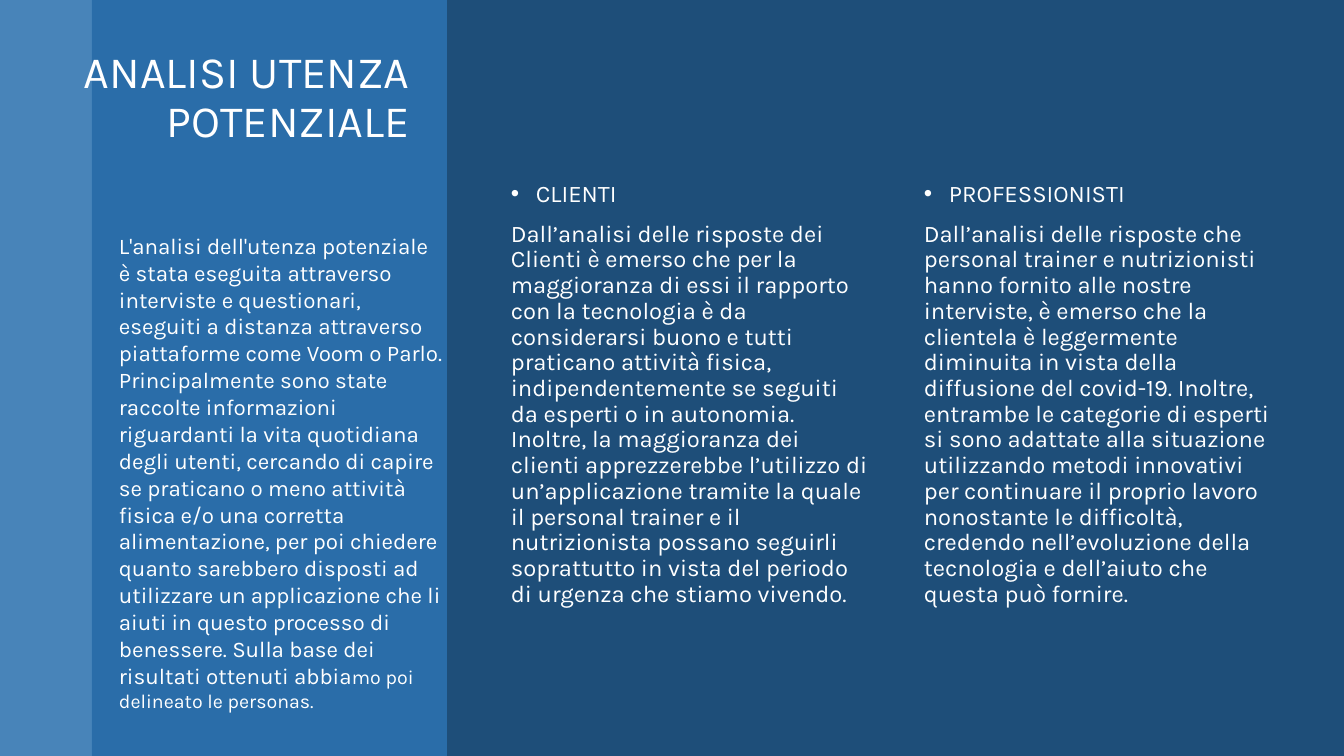
from lxml import etree
from pptx import Presentation
from pptx import util as u
from pptx.dml.color import RGBColor
from pptx.enum import shapes, text
from pptx.oxml import ns

EMU_PER_PX = 914400 / 100.8
SLIDE_WIDTH, SLIDE_HEIGHT = 1344, 756
FONT = "Karla"
NAVY = RGBColor(0x1E, 0x4E, 0x79)
BLUE = RGBColor(0x2E, 0x75, 0xB5)
LIGHT_BLUE = RGBColor(0x5B, 0x9B, 0xD5)
WHITE = RGBColor(0xFF, 0xFF, 0xFF)

TITLE = "ANALISI UTENZA POTENZIALE"
INTRO = (
    "L'analisi dell'utenza potenziale è stata eseguita attraverso interviste e questionari, "
    "eseguiti a distanza attraverso piattaforme come Voom o Parlo. Principalmente sono state "
    "raccolte informazioni riguardanti la vita quotidiana degli utenti, cercando di capire se "
    "praticano o meno attività fisica e/o una corretta alimentazione, per poi chiedere quanto "
    "sarebbero disposti ad utilizzare un applicazione che li aiuti in questo processo di "
    "benessere. Sulla base dei risultati ottenuti abbia"
)
INTRO_END = "mo poi delineato le personas."
FINDINGS = [
    (
        "CLIENTI",
        "Dall’analisi delle risposte dei Clienti è emerso che per la maggioranza di essi il "
        "rapporto con la tecnologia è da considerarsi buono e tutti praticano attività fisica, "
        "indipendentemente se seguiti da esperti o in autonomia. Inoltre, la maggioranza dei "
        "clienti apprezzerebbe l’utilizzo di un’applicazione tramite la quale il personal trainer "
        "e il nutrizionista possano seguirli soprattutto in vista del periodo di urgenza che "
        "stiamo vivendo.",
    ),
    (
        "PROFESSIONISTI",
        "Dall’analisi delle risposte che personal trainer e nutrizionisti hanno fornito alle "
        "nostre interviste, è emerso che la clientela è leggermente diminuita in vista della "
        "diffusione del covid-19. Inoltre, entrambe le categorie di esperti si sono adattate alla "
        "situazione utilizzando metodi innovativi per continuare il proprio lavoro nonostante le "
        "difficoltà, credendo nell’evoluzione della tecnologia e dell’aiuto che questa può fornire.",
    ),
]


def px(length):
    return u.Emu(round(length * EMU_PER_PX))


def set_font(font, size):
    font.name = FONT
    font.size = u.Pt(size)
    font.color.rgb = WHITE


def add_bullet(paragraph, indent):
    properties = paragraph._p.get_or_add_pPr()
    properties.set("marL", str(px(indent)))
    properties.set("indent", str(-px(indent)))
    font = etree.SubElement(properties, ns.qn("a:buFont"))
    font.set("typeface", "Arial")
    etree.SubElement(properties, ns.qn("a:buChar")).set("char", "•")


def add_band(slide, left, top, width, height, color, opacity):
    """Draw a full-height translucent band; opacity is in percent."""
    band = slide.shapes.add_shape(
        shapes.MSO_SHAPE.RECTANGLE, px(left), px(top), px(width), px(height)
    )
    band.shadow.inherit = False
    band.line.fill.background()
    band.fill.solid()
    band.fill.fore_color.rgb = color
    color_element = band.element.spPr.find(".//" + ns.qn("a:srgbClr"))
    etree.SubElement(color_element, ns.qn("a:alpha")).set("val", str(opacity * 1000))


def place_title(slide, left, top, width, height):
    title = slide.shapes.title
    title.left, title.top, title.width, title.height = map(px, (left, top, width, height))
    # Bring the title in front of the bands
    title.element.getparent().append(title.element)
    frame = title.text_frame
    frame.text = TITLE
    frame.word_wrap = True
    frame.auto_size = text.MSO_AUTO_SIZE.NONE
    frame.vertical_anchor = text.MSO_ANCHOR.TOP
    paragraph = frame.paragraphs[0]
    paragraph.alignment = text.PP_ALIGN.RIGHT
    paragraph.line_spacing = 0.9
    set_font(paragraph.font, 32)


def add_text_frame(slide, left, top, width, height):
    box = slide.shapes.add_textbox(px(left), px(top), px(width), px(height))
    box.text_frame.word_wrap = True
    return box.text_frame


def add_findings(slide, left, top, width, height, heading, body):
    frame = add_text_frame(slide, left, top, width, height)
    frame.text = f"{heading}\n{body}"
    for paragraph in frame.paragraphs:
        paragraph.line_spacing = 0.9
        set_font(paragraph.font, 17)
    heading_paragraph, body_paragraph = frame.paragraphs
    body_paragraph.space_before = u.Pt(10)
    add_bullet(heading_paragraph, 25)


def add_intro(slide, left, top, width, height):
    frame = add_text_frame(slide, left, top, width, height)
    frame.auto_size = text.MSO_AUTO_SIZE.SHAPE_TO_FIT_TEXT
    for content, size in ((INTRO, 16), (INTRO_END, 14)):
        run = frame.paragraphs[0].add_run()
        run.text = content
        set_font(run.font, size)


def build_analysis_slide(presentation):
    slide = presentation.slides.add_slide(presentation.slide_layouts[5])
    slide.background.fill.solid()
    slide.background.fill.fore_color.rgb = NAVY
    add_band(slide, 0, 0, 92, SLIDE_HEIGHT, LIGHT_BLUE, 70)
    add_band(slide, 92, 0, 355, SLIDE_HEIGHT, BLUE, 80)
    place_title(slide, 65, 45, 355, 199)
    for column, (heading, body) in enumerate(FINDINGS):
        add_findings(slide, 501 + column * 413, 177, 377, 496, heading, body)
    add_intro(slide, 109, 227, 346, 468)


def main():
    presentation = Presentation()
    presentation.slide_width = px(SLIDE_WIDTH)
    presentation.slide_height = px(SLIDE_HEIGHT)
    build_analysis_slide(presentation)
    presentation.save("out.pptx")


if __name__ == "__main__":
    main()
